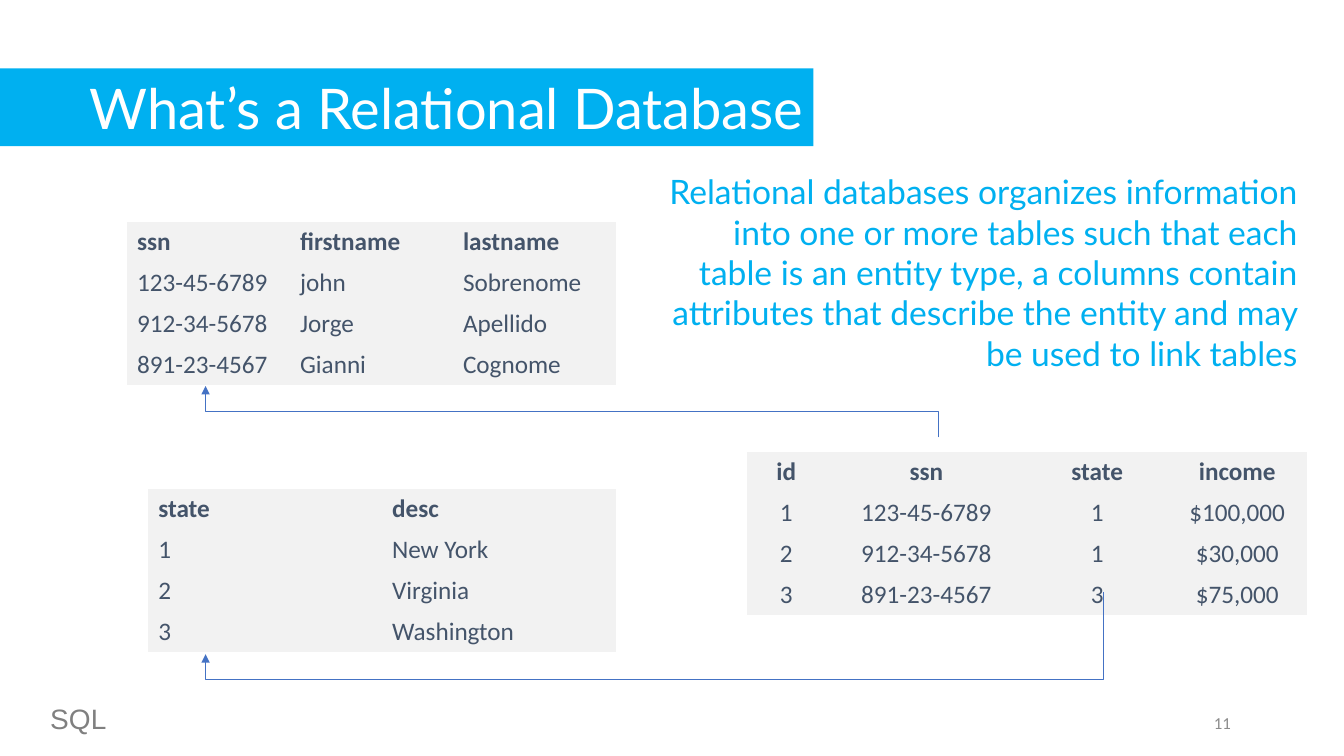
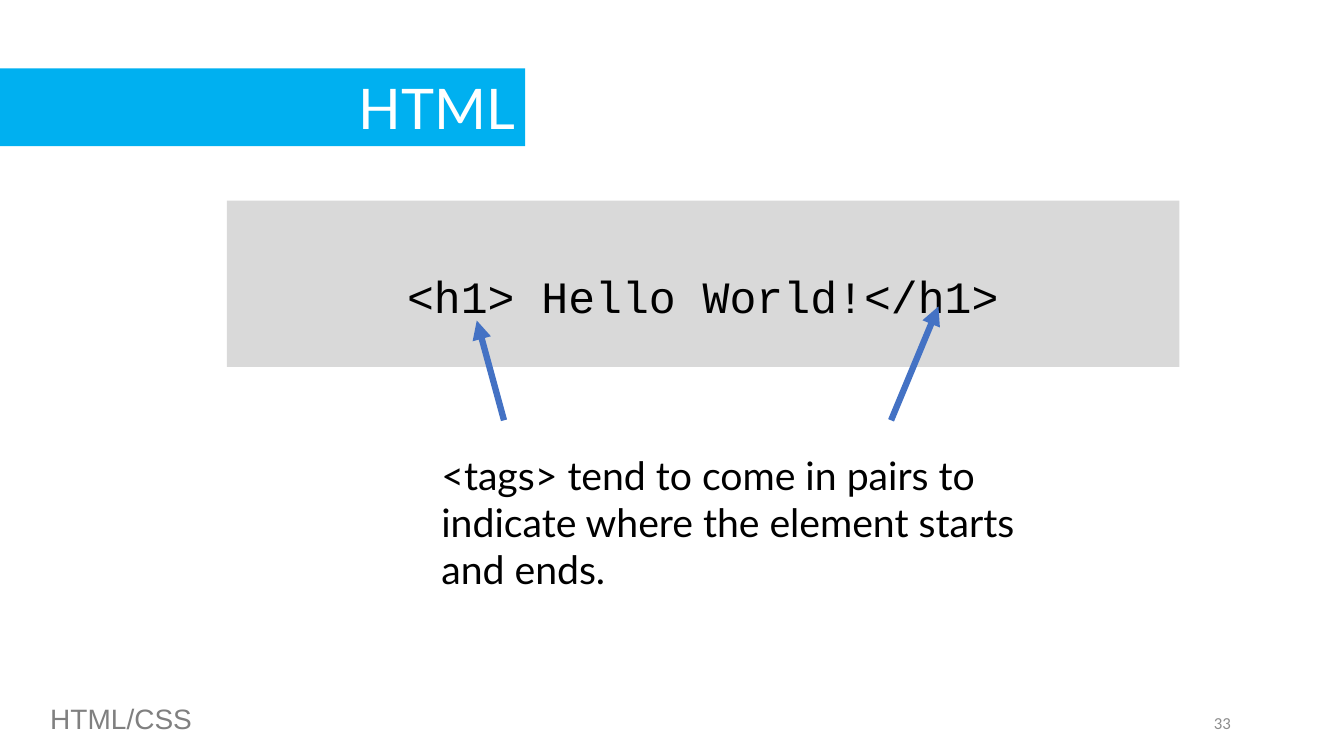
"""Build two lecture slides: a relational database example and HTML tags."""
import lxml.etree
import pptx
import pptx.dml.color
import pptx.enum.shapes
import pptx.enum.text
import pptx.oxml.ns
import pptx.util

RGBColor = pptx.dml.color.RGBColor
SKY = RGBColor(0x00, 0xB0, 0xF0)
BLUE = RGBColor(0x44, 0x72, 0xC4)
SLATE = RGBColor(0x44, 0x54, 0x6A)
BLACK = RGBColor(0, 0, 0)
WHITE = RGBColor(0xFF, 0xFF, 0xFF)
PALE = RGBColor(0xF2, 0xF2, 0xF2)
SILVER = RGBColor(0xD9, 0xD9, 0xD9)
GREY = RGBColor(0x80, 0x80, 0x80)
PAGE_GREY = RGBColor(0x8C, 0x8C, 0x8C)

ALIGN = pptx.enum.text.PP_ALIGN
ANCHOR = pptx.enum.text.MSO_ANCHOR
CONNECTOR = pptx.enum.shapes.MSO_CONNECTOR
PLAIN_TABLE = "{2D5ABB26-0587-4C30-8999-92F81FD0307C}"
qn = pptx.oxml.ns.qn


def grid(cells):
    return pptx.util.Inches(cells / 10)


def write(frame, text, font="Lato", size=24, color=BLACK, bold=False,
          align=ALIGN.LEFT, anchor=ANCHOR.TOP):
    frame.word_wrap = True
    frame.vertical_anchor = anchor
    paragraph = frame.paragraphs[0]
    paragraph.alignment = align
    run = paragraph.add_run()
    run.text = text
    run.font.name = font
    run.font.size = pptx.util.Pt(size)
    run.font.bold = bold
    run.font.color.rgb = color


class Deck:
    columns, rows = 133.33, 75
    table_row = 4.05

    def __init__(self):
        self.presentation = pptx.Presentation()
        self.presentation.slide_width = grid(self.columns)
        self.presentation.slide_height = grid(self.rows)
        self.slide = None

    def start(self, title, title_width, topic, number):
        layout = self.presentation.slide_layouts[6]
        self.slide = self.presentation.slides.add_slide(layout)
        self.text(number, 93.1, 69.7, 30, 4, font="Calibri", size=12,
                  color=PAGE_GREY, align=ALIGN.RIGHT, anchor=ANCHOR.MIDDLE)
        self.text(topic, 4, 69.1, 97.9, 4.4, font="Arial", size=20, color=GREY)
        self.block(title, 0, 6.8, title_width, 7.7, SKY,
                   size=40, color=WHITE, align=ALIGN.RIGHT)

    def text(self, text, left, top, width, height, **style):
        box = self.slide.shapes.add_textbox(*map(grid, (left, top, width, height)))
        write(box.text_frame, text, **style)

    def block(self, text, left, top, width, height, fill, inset=0.5, **style):
        shape = self.slide.shapes.add_shape(
            pptx.enum.shapes.MSO_SHAPE.RECTANGLE,
            *map(grid, (left, top, width, height)))
        shape.shadow.inherit = False
        shape.fill.solid()
        shape.fill.fore_color.rgb = fill
        shape.line.fill.background()
        shape.text_frame.margin_top = grid(inset)
        write(shape.text_frame, text, **style)

    def table(self, left, top, widths, records, align=ALIGN.LEFT):
        height = self.table_row * len(records)
        table = self.slide.shapes.add_table(
            len(records), len(widths),
            *map(grid, (left, top, sum(widths), height))).table
        table.horz_banding = False
        style = next(table._tbl.iter(qn("a:tableStyleId")))
        style.text = PLAIN_TABLE
        for column, width in zip(table.columns, widths):
            column.width = grid(width)
        for row, record in enumerate(records):
            for column, value in enumerate(record):
                cell = table.cell(row, column)
                cell.fill.solid()
                cell.fill.fore_color.rgb = PALE
                write(cell.text_frame, value, font="Calibri", size=18,
                      color=SLATE, bold=row == 0, align=align)

    def arrow(self, start, end, weight, kind=CONNECTOR.STRAIGHT):
        connector = self.slide.shapes.add_connector(
            kind, *map(grid, (*start, *end)))
        connector.line.color.rgb = BLUE
        connector.line.width = pptx.util.Pt(weight)
        properties = connector.element.spPr
        line = properties.find(qn("a:ln"))
        lxml.etree.SubElement(line, qn("a:tailEnd"), type="triangle")
        lxml.etree.SubElement(properties, qn("a:effectLst"))
        return properties

    def elbow(self, start, end, bend):
        """Leave vertically, cross at row bend: a bent connector turned by 270 degrees."""
        (x1, y1), (x2, y2) = start, end
        middle_x, middle_y = (x1 + x2) / 2, (y1 + y2) / 2
        half_x, half_y = (x1 - x2) / 2, (y1 - y2) / 2
        properties = self.arrow((middle_x - half_y, middle_y + half_x),
                                (middle_x + half_y, middle_y - half_x),
                                0.5, CONNECTOR.ELBOW)
        properties.find(qn("a:xfrm")).set("rot", str(270 * 60000))
        share = round((bend - y1) / (y2 - y1) * 100000)
        guides = next(properties.iter(qn("a:avLst")))
        lxml.etree.SubElement(guides, qn("a:gd"), name="adj1", fmla=f"val {share}")


def relational_slide(deck):
    deck.start("What’s a Relational Database", 80.7, "SQL", "11")
    deck.table(74.1, 44.8, (7.8, 20, 13.9, 13.9), (
        ("id", "ssn", "state", "income"),
        ("1", "123-45-6789", "1", "$100,000"),
        ("2", "912-34-5678", "1", "$30,000"),
        ("3", "891-23-4567", "3", "$75,000")), align=ALIGN.CENTER)
    deck.table(12.6, 22, (16.17,) * 3, (
        ("ssn", "firstname", "lastname"),
        ("123-45-6789", "john", "Sobrenome"),
        ("912-34-5678", "Jorge", "Apellido"),
        ("891-23-4567", "Gianni", "Cognome")))
    deck.table(14.7, 48.5, (23.2,) * 2, (
        ("state", "desc"), ("1", "New York"),
        ("2", "Virginia"), ("3", "Washington")))
    deck.elbow((109.5, 58.7), (20.4, 64.9), 67.4)
    deck.elbow((93.1, 43.4), (20.4, 38.3), 40.85)
    deck.text("Relational databases organizes information into one or more tables "
              "such that each table is an entity type, a columns contain attributes "
              "that describe the entity and may be used to link tables",
              64, 16.5, 65.7, 21.2, color=SKY, align=ALIGN.RIGHT)


def html_slide(deck):
    deck.start("HTML", 52.1, "HTML/CSS", "33")
    deck.block("<h1> Hello World!</h1>", 22.5, 19.9, 94.5, 16.5, SILVER,
               inset=6.8, font="Courier New", size=32, align=ALIGN.CENTER)
    deck.text("<tags> tend to come in pairs to indicate where the element "
              "starts and ends.", 42.8, 44.3, 59.1, 15.1, size=28)
    for start, end in (((50, 41.7), (47.3, 31.8)), ((88.4, 41.7), (93.1, 30.4))):
        deck.arrow(start, end, 4.5)


def main():
    deck = Deck()
    relational_slide(deck)
    html_slide(deck)
    deck.presentation.save("out.pptx")


if __name__ == "__main__":
    main()
